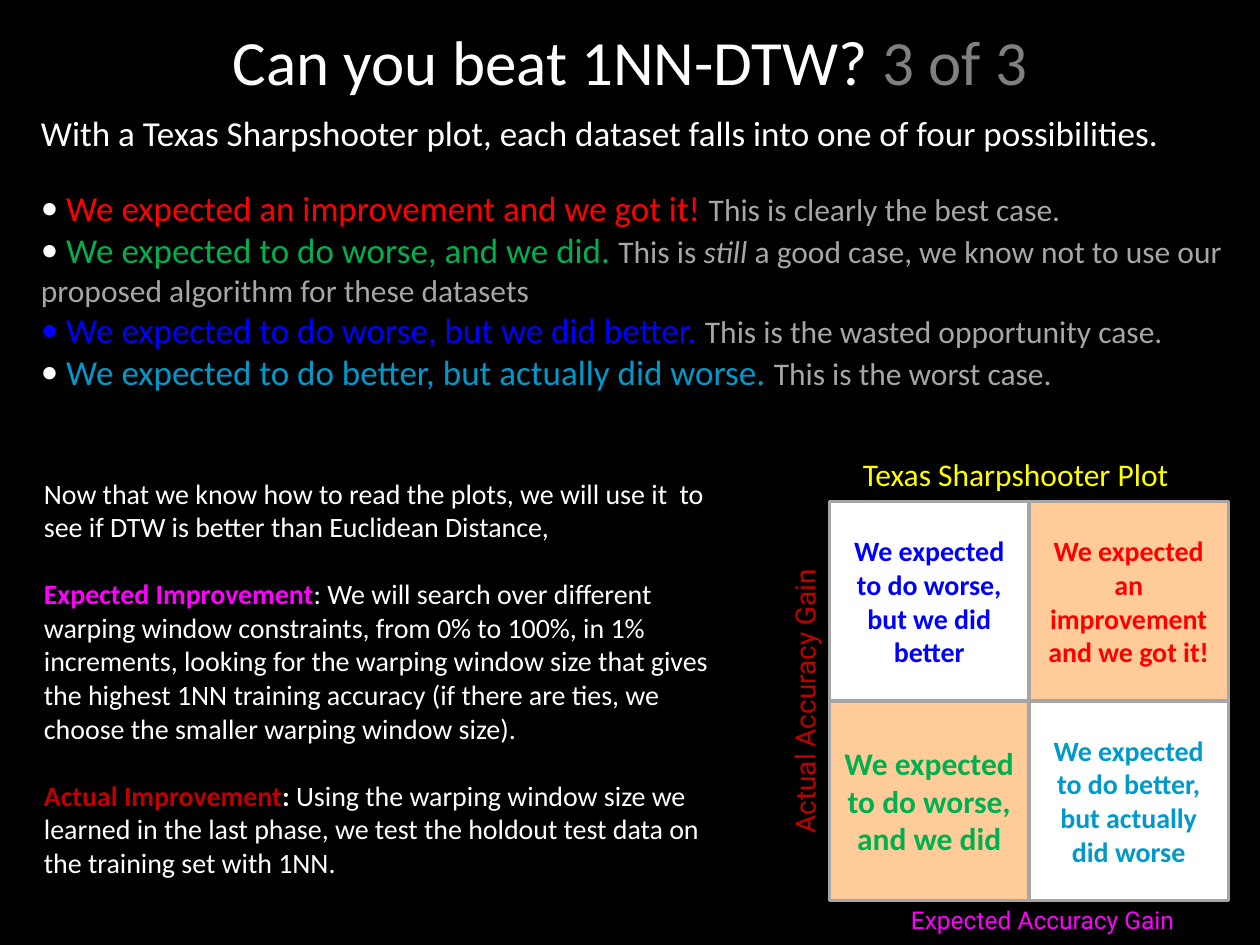
from lxml.etree import SubElement
from pptx import Presentation
from pptx.dml.color import RGBColor
from pptx.enum.shapes import MSO_SHAPE
from pptx.enum.text import MSO_ANCHOR, MSO_AUTO_SIZE, PP_ALIGN
from pptx.oxml.ns import qn
from pptx.util import Inches, Pt

BLACK = RGBColor(0, 0, 0)
WHITE = RGBColor(255, 255, 255)
SILVER = RGBColor(0xA6, 0xA6, 0xA6)
GRAY = RGBColor(0x80, 0x80, 0x80)
RED = RGBColor(255, 0, 0)
CRIMSON = RGBColor(0xC0, 0, 0)
GREEN = RGBColor(0, 0xB0, 0x50)
BLUE = RGBColor(0, 0, 255)
CYAN = RGBColor(0, 0x99, 0xCC)
PINK = RGBColor(255, 0, 255)
YELLOW = RGBColor(255, 255, 0)
PEACH = RGBColor(255, 0xCC, 0x99)

deck = Presentation()
deck.slide_width, deck.slide_height = Inches(10), Inches(7.5)
COL, ROW = deck.slide_width / 120, deck.slide_height / 90
GAP = Pt(19.2)
slide = deck.slides.add_slide(deck.slide_layouts[5])
slide.background.fill.solid()
slide.background.fill.fore_color.rgb = BLACK


def grid(x, y, w, h):
    """Turn columns and rows into left, top, width and height."""
    return int(x * COL), int(y * ROW), int(w * COL), int(h * ROW)


def write(para, parts, size, color, face="Calibri"):
    """Fill a paragraph; each part is a text and the font settings it changes."""
    para.font.name, para.font.size, para.font.color.rgb = face, Pt(size), color
    for text, change in parts:
        run = para.add_run()
        run.text = text
        for key, value in change.items():
            if key == "color":
                run.font.color.rgb = value
            else:
                setattr(run.font, key, value)


# Title
title = slide.shapes.title
title.left, title.top, title.width, title.height = grid(2, 0, 116, 11.5)
title.text_frame.vertical_anchor = MSO_ANCHOR.MIDDLE
head = title.text_frame.paragraphs[0]
head.alignment = PP_ALIGN.CENTER
write(head, [("Can you beat 1NN-DTW? ", {}), ("3 of 3", {"color": GRAY})], 36, WHITE)

# Four possibilities
cases = [
    ("We expected an improvement and we got it! ", RED, WHITE,
     [("This is clearly the best case.", {})]),
    ("We expected to do worse, and we did. ", GREEN, WHITE,
     [("This is ", {}), ("still", {"italic": True}),
      (" a good case, we know not to use our proposed algorithm for these datasets", {})]),
    ("We expected to do worse, but we did better. ", BLUE, BLUE,
     [("This is the wasted opportunity case.", {})]),
    ("We expected to do better, but actually did worse. ", CYAN, WHITE,
     [("This is the worst case.", {})]),
]
frame = slide.shapes.add_textbox(*grid(2.72, 10, 117.28, 41.2)).text_frame
frame.word_wrap = True
write(frame.paragraphs[0], [("With a Texas Sharpshooter plot, each dataset falls into "
                             "one of four possibilities.", {})], 20, WHITE)
for i, (claim, color, dot, notes) in enumerate(cases):
    para = frame.add_paragraph()
    if i == 0:
        para.space_before = GAP
    props = para._p.get_or_add_pPr()
    tint = SubElement(SubElement(props, qn("a:buClr")), qn("a:srgbClr"))
    tint.set("val", str(dot))
    SubElement(props, qn("a:buFont")).set("typeface", "Calibri")
    SubElement(props, qn("a:buChar")).set("char", "•")
    lead = (" " + claim, {"color": color, "size": Pt(20)})
    write(para, [lead] + notes, 18, SILVER)

# Plot quadrants, row by row, over a white square
SIDE = 19
board = slide.shapes.add_shape(MSO_SHAPE.RECTANGLE, *grid(79, 47.75, 2 * SIDE, 2 * SIDE))
board.shadow.inherit = False
board.fill.solid()
board.fill.fore_color.rgb = WHITE
board.line.fill.background()
cells = [
    ("We expected to do worse, but we did better", BLUE, None, 16),
    ("We expected an improvement and we got it!", RED, PEACH, 16),
    ("We expected to do worse, and we did", GREEN, PEACH, 18),
    ("We expected to do better, but actually did worse", CYAN, None, 16),
]
for i, (text, color, fill, size) in enumerate(cells):
    row, col = divmod(i, 2)
    cell = slide.shapes.add_shape(
        MSO_SHAPE.RECTANGLE, *grid(79 + col * SIDE, 47.75 + row * SIDE, SIDE, SIDE))
    cell.shadow.inherit = False
    if fill:
        cell.fill.solid()
        cell.fill.fore_color.rgb = fill
    else:
        cell.fill.background()
    cell.line.color.rgb = SILVER
    cell.line.width = Pt(2)
    cell.text_frame.vertical_anchor = MSO_ANCHOR.MIDDLE
    para = cell.text_frame.paragraphs[0]
    para.alignment = PP_ALIGN.CENTER
    para.font.bold = True
    write(para, [(text, {})], size, color)

# Method
steps = [
    [("Now that we know how to read the plots, we will use it  to see if DTW is "
      "better than Euclidean Distance,", {})],
    [("Expected Improvement", {"color": PINK, "bold": True}),
     (": We will search over different warping window constraints, from 0% to 100%, "
      "in 1% increments, looking for the warping window size that gives the highest "
      "1NN training accuracy (if there are ties, we choose the smaller warping "
      "window size).", {})],
    [("Actual Improvement", {"color": CRIMSON, "bold": True}), (": ", {"bold": True}),
     ("Using the warping window size we learned in the last phase, we test the "
      "holdout test data on the training set with 1NN.", {})],
]
frame = slide.shapes.add_textbox(*grid(3, 44.75, 69, 40)).text_frame
frame.word_wrap = True
for i, parts in enumerate(steps):
    para = frame.add_paragraph() if i else frame.paragraphs[0]
    if i:
        para.space_before = GAP
    write(para, parts, 16, WHITE)

# Plot labels
labels = [
    ("Texas Sharpshooter Plot", (81, 42.75, 31.8, 4.8), 18, YELLOW, "Calibri", None, 0),
    ("Expected Accuracy Gain", (86.75, 86.15, 25.6, 2.9), 14, PINK, "Roboto", 0, 0),
    ("Actual Accuracy Gain", (63.85, 64.95, 25.6, 3.25), 16, CRIMSON, "Roboto", 0, 270),
]
for text, place, size, color, face, inset, turn in labels:
    label = slide.shapes.add_textbox(*grid(*place))
    label.rotation = turn
    frame = label.text_frame
    frame.word_wrap = False
    frame.auto_size = MSO_AUTO_SIZE.SHAPE_TO_FIT_TEXT
    if inset is not None:
        frame.margin_left = frame.margin_right = inset
        frame.margin_top = frame.margin_bottom = inset
    write(frame.paragraphs[0], [(text, {})], size, color, face)

deck.save("out.pptx")
